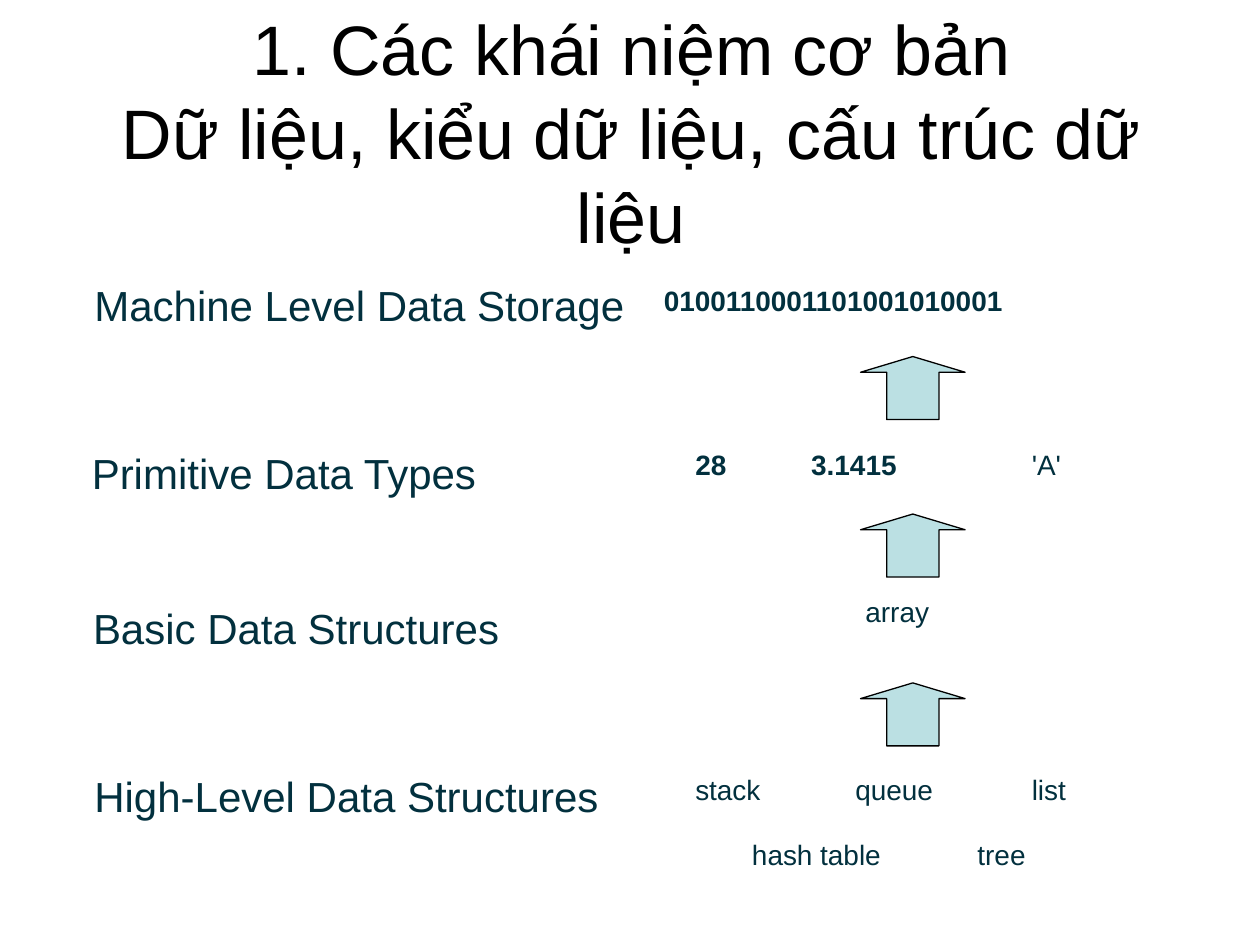
from pptx import Presentation
from pptx.dml.color import RGBColor
from pptx.enum.shapes import MSO_SHAPE
from pptx.enum.text import MSO_ANCHOR, MSO_AUTO_SIZE, PP_ALIGN
from pptx.util import Inches, Pt

UP_ARROW = MSO_SHAPE.UP_ARROW
BOTTOM = MSO_ANCHOR.BOTTOM
NO_FIT = MSO_AUTO_SIZE.NONE
CENTER = PP_ALIGN.CENTER
INK = "02303E"


def color(value):
    return RGBColor.from_string(value)


def add_run(p, text, size, ink=INK, bold=False):
    r = p.add_run()
    r.text = text
    r.font.name = "Arial"
    r.font.size = Pt(size)
    r.font.bold = bold
    r.font.color.rgb = color(ink)


prs = Presentation()
prs.slide_width, prs.slide_height = Inches(10), Inches(7.5)
s = prs.slides.add_slide(prs.slide_layouts[5])

# Title
title = s.shapes.title
title.left, title.top = Inches(0.51), Inches(0.84)
title.width, title.height = Inches(9), Inches(1.25)
tf = title.text_frame
tf.word_wrap = True
tf.auto_size = NO_FIT
tf.vertical_anchor = BOTTOM
p = tf.paragraphs[0]
p.alignment = CENTER
add_run(p, "1. Các khái niệm cơ bản", 40, "000000")
p.add_line_break()
add_run(p, "Dữ liệu, kiểu dữ liệu, cấu trúc dữ liệu", 40, "000000")

# Level names on the left, examples on the right: text, x, y, width, size, bold
labels = [
    ("Machine Level Data Storage", 0.65, 2.17, 4.45, 24, False),
    ("Primitive Data Types", 0.63, 3.5, 3.32, 24, False),
    ("Basic Data Structures", 0.64, 4.73, 3.47, 24, False),
    ("High-Level Data Structures", 0.65, 6.07, 4.25, 24, False),
    ("0100110001101001010001", 5.17, 2.2, 2.96, 16, True),
    ("28", 5.42, 3.5, 0.49, 16, True),
    ("3.1415", 6.34, 3.5, 0.93, 16, True),
    ("'A'", 8.09, 3.5, 0.48, 16, False),
    ("array", 6.77, 4.67, 0.75, 16, False),
    ("stack", 5.42, 6.08, 0.76, 16, False),
    ("queue", 6.69, 6.08, 0.86, 16, False),
    ("list", 8.09, 6.08, 0.52, 16, False),
    ("hash table", 5.87, 6.6, 1.27, 16, False),
    ("tree", 7.66, 6.6, 0.63, 16, False),
]
for text, x, y, width, size, bold in labels:
    height = 0.5 if size == 24 else 0.37
    sp = s.shapes.add_textbox(Inches(x), Inches(y), Inches(width), Inches(height))
    tf = sp.text_frame
    tf.word_wrap = True
    tf.auto_size = NO_FIT
    add_run(tf.paragraphs[0], text, size, bold=bold)

# Arrows up from each level to the one above
for y in (2.83, 4.08, 5.42):
    sp = s.shapes.add_shape(UP_ARROW, Inches(6.83), Inches(y), Inches(0.83), Inches(0.5))
    sp.adjustments[0], sp.adjustments[1] = 0.5, 0.25
    sp.shadow.inherit = False
    sp.fill.solid()
    sp.fill.fore_color.rgb = color("BBE0E3")
    sp.line.color.rgb = color("000000")
    sp.line.width = Pt(0.75)

prs.save("out.pptx")
